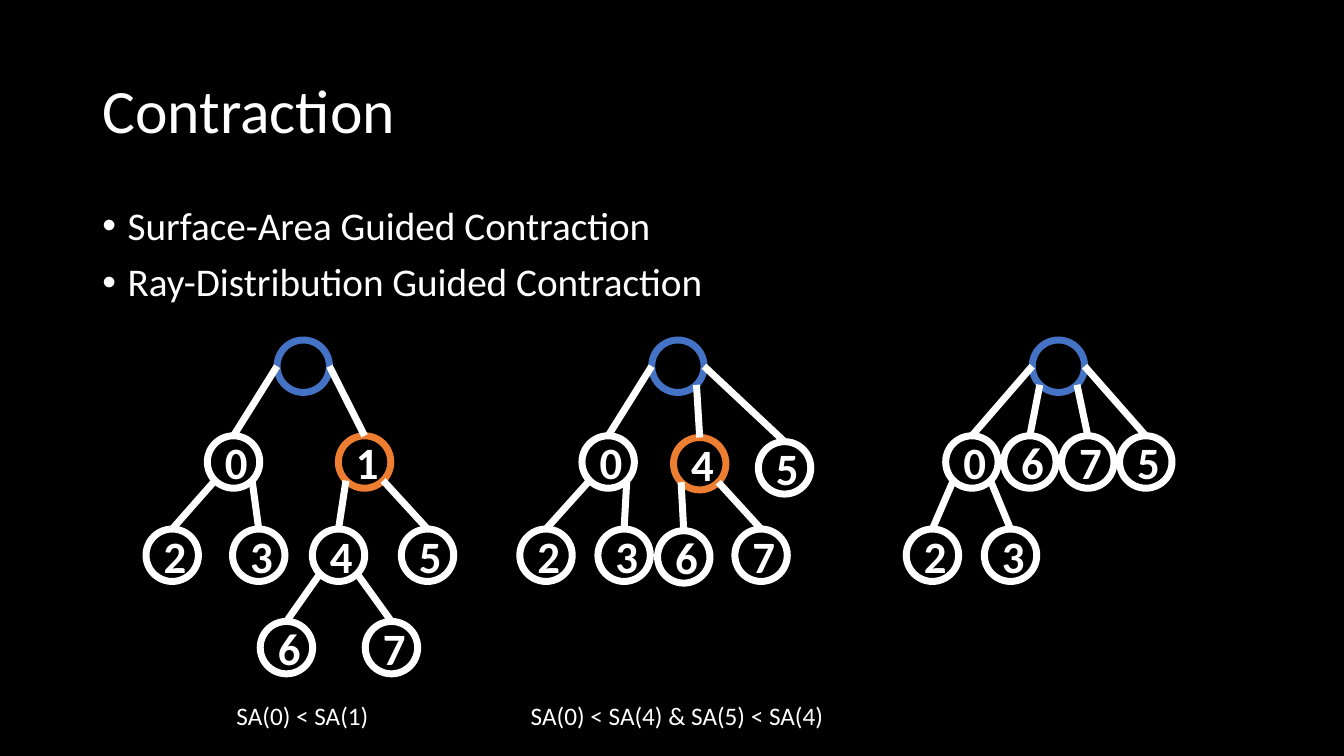
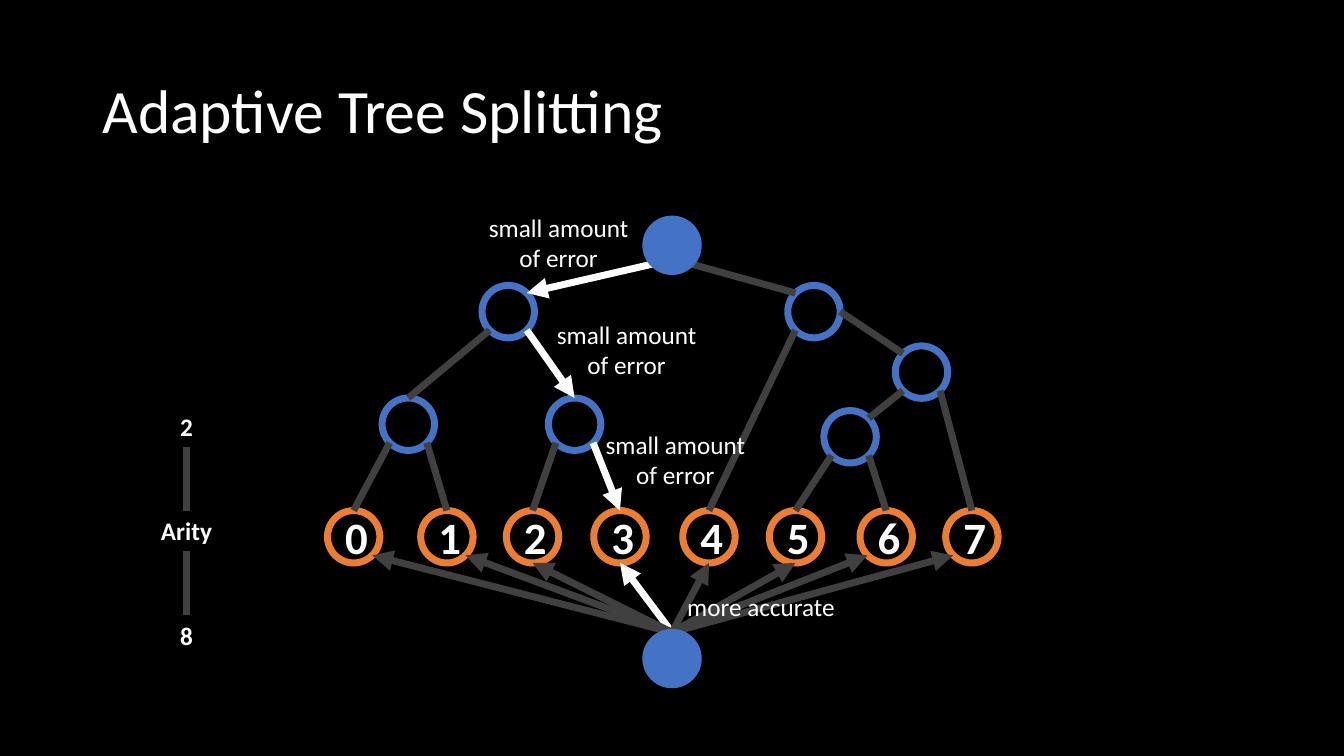
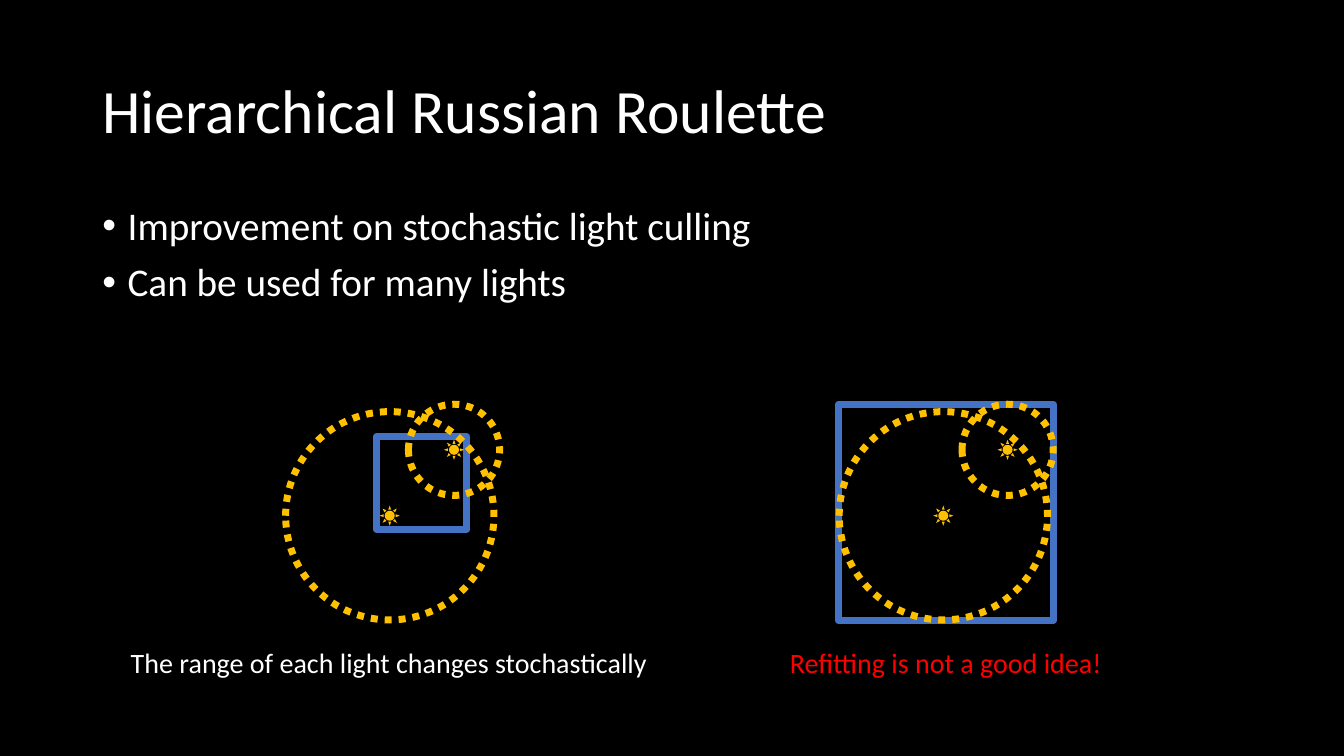
import lxml.etree
import pptx
import pptx.dml.color
import pptx.enum.dml
import pptx.enum.shapes
import pptx.enum.text
import pptx.oxml.ns
import pptx.util

SHAPES = pptx.enum.shapes.MSO_SHAPE
ALIGN = pptx.enum.text.PP_ALIGN
ANCHOR = pptx.enum.text.MSO_ANCHOR
FIT = pptx.enum.text.MSO_AUTO_SIZE
COLOURS = {"ground": "000000", "text": "FFFFFF", "blue": "4472C4", "orange": "ED7D31",
           "grey": "404040", "light": "FFC000", "warning": "FF0000"}

# The slide is a grid of 160 columns by 90 rows of square cells
WIDTH, HEIGHT = pptx.util.Inches(13.333), pptx.util.Inches(7.5)
CELL = HEIGHT / 90
NODE = 6.24
STROKE = pptx.util.Pt(5)
TITLE_AREA = (11, 4.8, 138, 17.4)
BODY_AREA = (11, 24, 138, 57.1)

# Points on a circle where edges attach, as shares of its radius
DIAGONAL = 0.71
SITES = {"top": (0, -1), "bottom": (0, 1), "left": (-1, 0), "right": (1, 0),
         "nw": (-DIAGONAL, -DIAGONAL), "ne": (DIAGONAL, -DIAGONAL),
         "sw": (-DIAGONAL, DIAGONAL), "se": (DIAGONAL, DIAGONAL)}


def cells(*counts):
    return [round(count * CELL) for count in counts]


def colour(name):
    return pptx.dml.color.RGBColor.from_string(COLOURS[name])


def apply(target, values):
    for key, value in values.items():
        setattr(target, key, value)


def style_font(font, size, tone="text", bold=False):
    apply(font, {"name": "Calibri", "size": pptx.util.Pt(size), "bold": bold})
    font.color.rgb = colour(tone)


def place(holder, area):
    apply(holder, dict(zip(("left", "top", "width", "height"), cells(*area))))


# Shared slide parts
def add_page(deck, title, bullets=()):
    page = deck.slides.add_slide(deck.slide_layouts[1 if bullets else 5])
    holder = page.shapes.title
    place(holder, TITLE_AREA)
    apply(holder.text_frame, {"text": title, "vertical_anchor": ANCHOR.MIDDLE,
                              "auto_size": FIT.NONE})
    para = holder.text_frame.paragraphs[0]
    apply(para, {"alignment": ALIGN.LEFT, "line_spacing": 0.9})
    style_font(para.font, 44)
    if bullets:
        fill_body(page.placeholders[1], bullets)
    return page


def fill_body(holder, bullets):
    place(holder, BODY_AREA)
    frame = holder.text_frame
    apply(frame, {"text": "\n".join(bullets), "auto_size": FIT.NONE,
                  "vertical_anchor": ANCHOR.TOP})
    for index, para in enumerate(frame.paragraphs):
        properties = para._p.get_or_add_pPr()
        indent = pptx.util.Inches(0.25)
        properties.set("marL", str(indent))
        properties.set("indent", str(-indent))
        for tag, key, value in (("a:buFont", "typeface", "Arial"), ("a:buChar", "char", "•")):
            mark = lxml.etree.SubElement(properties, pptx.oxml.ns.qn(tag))
            mark.set(key, value)
        apply(para, {"line_spacing": 0.9, "space_before": pptx.util.Pt(10 if index else 0)})
        style_font(para.font, 28)


# Drawing elements
def add_figure(page, kind, centre, size, outline=None, fill=None, dotted=False):
    (x, y), (width, height) = centre, size
    area = cells(x - width / 2, y - height / 2, width, height)
    figure = page.shapes.add_shape(kind, *area)
    figure.shadow.inherit = False
    if fill:
        figure.fill.solid()
        figure.fill.fore_color.rgb = colour(fill)
    else:
        figure.fill.background()
    if outline:
        figure.line.color.rgb = colour(outline)
        figure.line.width = STROKE
    else:
        figure.line.fill.background()
    if dotted:
        figure.line.dash_style = pptx.enum.dml.MSO_LINE.ROUND_DOT
    return figure


def add_node(page, centre, outline, label="", fill=None):
    node = add_figure(page, SHAPES.OVAL, centre, (NODE, NODE), outline, fill)
    if label:
        node.text_frame.vertical_anchor = ANCHOR.MIDDLE
        para = node.text_frame.paragraphs[0]
        apply(para, {"text": label, "alignment": ALIGN.CENTER})
        style_font(para.font, 32, bold=True)


def add_line(page, start, end, tone, arrow=False):
    line = page.shapes.add_connector(pptx.enum.shapes.MSO_CONNECTOR.STRAIGHT,
                                     *cells(*start, *end))
    line.line.color.rgb = colour(tone)
    line.line.width = STROKE
    if arrow:
        tail = lxml.etree.SubElement(line.line._get_or_add_ln(), pptx.oxml.ns.qn("a:tailEnd"))
        tail.set("type", "triangle")
    lxml.etree.SubElement(line._element.spPr, pptx.oxml.ns.qn("a:effectLst"))


def site(centre, name):
    return [middle + NODE / 2 * share for middle, share in zip(centre, SITES[name])]


def add_edge(page, nodes, edge, tone="text", arrow=False):
    parent, leave, child, enter = edge
    add_line(page, site(nodes[parent], leave), site(nodes[child], enter), tone, arrow)


def add_label(page, text, middle, top, width, size=18, tone="text", bold=False):
    lines = text.count("\v") + 1
    height = 1.2 + lines * size / 5
    box = page.shapes.add_textbox(*cells(middle - width / 2, top, width, height))
    apply(box.text_frame, {"word_wrap": False, "auto_size": FIT.SHAPE_TO_FIT_TEXT})
    para = box.text_frame.paragraphs[0]
    apply(para, {"text": text, "alignment": ALIGN.CENTER})
    style_font(para.font, size, tone, bold)


def add_tree(page, nodes, edges, marked=None):
    for name, centre in nodes.items():
        outline = {"root": "blue", marked: "orange"}.get(name, "text")
        add_node(page, centre, outline, "" if name == "root" else name)
    for parent, leave, child in edges:
        add_edge(page, nodes, (parent, leave, child, "top"))


def add_lights(page, shift, square_centre, square_size):
    add_figure(page, SHAPES.RECTANGLE, square_centre, square_size, "blue")
    for x, y, reach in ((46.4, 61.4, 24.8), (54.05, 53.55, 10.85)):
        centre = (x + shift, y)
        add_figure(page, SHAPES.SUN, centre, (2.4, 2.4), fill="light")
        add_figure(page, SHAPES.OVAL, centre, (reach, reach), "light", dotted=True)


# Slides
def contraction(deck):
    page = add_page(deck, "Contraction", ("Surface-Area Guided Contraction",
                                          "Ray-Distribution Guided Contraction"))
    first, second, third, fourth = 43.6, 55, 66.1, 77.1
    add_tree(page, {"root": (36.1, first), "0": (27.8, second), "1": (43.4, second),
                    "2": (20.5, third), "3": (30.8, third), "4": (40.3, third),
                    "5": (50.9, third), "6": (34.1, fourth), "7": (46.6, fourth)},
             (("root", "left", "0"), ("root", "right", "1"), ("0", "sw", "2"),
              ("0", "se", "3"), ("1", "sw", "4"), ("1", "se", "5"),
              ("4", "sw", "6"), ("4", "se", "7")), marked="1")
    add_tree(page, {"root": (80.7, first), "0": (72.4, second), "4": (83.3, 55.2),
                    "5": (93.4, 55.7), "2": (65, third), "3": (74.3, third),
                    "6": (81.4, 66.3), "7": (90.6, third)},
             (("root", "left", "0"), ("root", "se", "4"), ("root", "right", "5"),
              ("0", "sw", "2"), ("0", "se", "3"), ("4", "sw", "6"),
              ("4", "se", "7")), marked="4")
    add_tree(page, {"root": (126, first), "0": (115.7, second), "6": (122.6, second),
                    "7": (129.5, second), "5": (136.4, second),
                    "2": (111, third), "3": (120.3, third)},
             (("root", "left", "0"), ("root", "sw", "6"), ("root", "se", "7"),
              ("root", "right", "5"), ("0", "sw", "2"), ("0", "se", "3")))
    add_label(page, "SA(0) < SA(1)", 36, 82.8, 18.4)
    add_label(page, "SA(0) < SA(4) & SA(5) < SA(4)", 80.6, 82.8, 37.7)


def splitting(deck):
    page = add_page(deck, "Adaptive Tree Splitting")
    roots = {"root": (80, 29.2), "base": (80, 78.4)}
    inner = {"a": (60.5, 37.1), "b": (48.6, 50.5), "c": (68.4, 50.5),
             "d": (96.9, 37.1), "e": (109.7, 44.3), "f": (101.2, 52)}
    columns = (42.1, 53.2, 63.4, 73.8, 84.4, 94.7, 105.5, 115.7)
    leaves = {str(index): (x, 63.9) for index, x in enumerate(columns)}
    nodes = {**roots, **inner, **leaves}
    for centre in inner.values():
        add_node(page, centre, "blue")
    for label, centre in leaves.items():
        add_node(page, centre, "orange", label)

    # Tree edges, then the highlighted way down
    for edge in (("root", "se", "d", "nw"), ("a", "sw", "b", "top"), ("b", "sw", "0", "top"),
                 ("b", "se", "1", "top"), ("c", "sw", "2", "top"), ("d", "sw", "4", "top"),
                 ("d", "right", "e", "nw"), ("e", "sw", "f", "ne"), ("e", "se", "7", "top"),
                 ("f", "sw", "5", "top"), ("f", "se", "6", "top")):
        add_edge(page, nodes, edge, "grey")
    for edge in (("root", "sw", "a", "ne"), ("a", "se", "c", "top"), ("c", "se", "3", "top")):
        add_edge(page, nodes, edge, arrow=True)
    for middle, top in ((66.5, 24.7), (74.6, 37.4), (80.4, 50.5)):
        add_label(page, "small amount\vof error", middle, top, 19.2)

    # Direct arrows from the wide node to each leaf
    entries = {"3": "bottom", "4": "bottom", "5": "bottom", "6": "sw", "7": "sw",
               "0": "se", "1": "se", "2": "bottom"}
    for leaf, enter in entries.items():
        tone = "text" if leaf == "3" else "grey"
        add_edge(page, nodes, ("base", "top", leaf, enter), tone, arrow=True)
    for centre in roots.values():
        add_node(page, centre, "blue", fill="blue")
    add_label(page, "more accurate", 90.6, 69.8, 20.2)

    # Arity scale
    for text, top, width in (("2", 48.4, 4), ("Arity", 60.8, 8.5), ("8", 73.2, 4)):
        add_label(page, text, 22.2, top, width, bold=True)
    for top in (53.2, 65.6):
        add_line(page, (22.2, top), (22.2, top + 7.6), "grey")


def roulette(deck):
    page = add_page(deck, "Hierarchical Russian Roulette",
                    ("Improvement on stochastic light culling", "Can be used for many lights"))
    add_lights(page, 0, (50.2, 57.5), (10.8, 11))
    add_lights(page, 65.9, (112.6, 61), (25.6, 25.7))
    add_label(page, "The range of each light changes stochastically", 46.3, 76.3, 64.6, 20)
    add_label(page, "Refitting is not a good idea!", 112.6, 76.3, 40, 20, "warning")


def main():
    deck = pptx.Presentation()
    apply(deck, {"slide_width": WIDTH, "slide_height": HEIGHT})
    ground = deck.slide_master.background.fill
    ground.solid()
    ground.fore_color.rgb = colour("ground")
    for build in (contraction, splitting, roulette):
        build(deck)
    deck.save("out.pptx")


if __name__ == "__main__":
    main()
